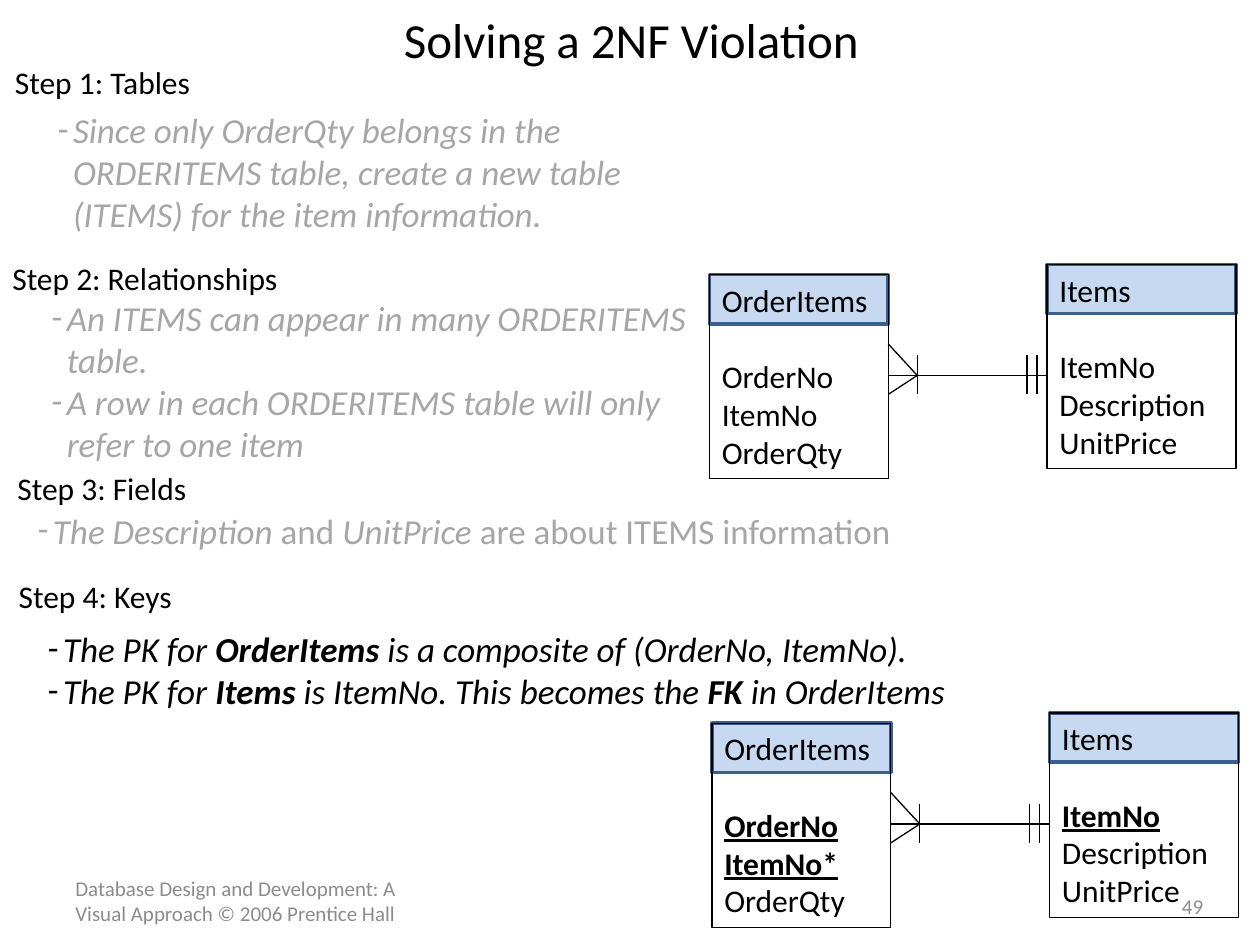
from pptx import Presentation
from pptx.dml.color import RGBColor
from pptx.enum.shapes import MSO_CONNECTOR, MSO_SHAPE
from pptx.enum.text import MSO_ANCHOR, MSO_AUTO_SIZE, PP_ALIGN
from pptx.oxml.ns import qn
from pptx.util import Emu, Inches, Pt
from lxml import etree

STRAIGHT = MSO_CONNECTOR.STRAIGHT
RECTANGLE = MSO_SHAPE.RECTANGLE
TOP, MIDDLE = MSO_ANCHOR.TOP, MSO_ANCHOR.MIDDLE
LEFT, CENTER = PP_ALIGN.LEFT, PP_ALIGN.CENTER
NO_AUTOFIT = MSO_AUTO_SIZE.NONE

THEME = {
    "font": "Calibri",
    "ink": RGBColor.from_string("000000"),
    "faded": RGBColor.from_string("A6A6A6"),
    "footer": RGBColor.from_string("8C8C8C"),
    "header fill": RGBColor.from_string("C6D9F1"),
    "header line": RGBColor.from_string("3A5F8C"),
    "title size": Pt(28),
    "list size": Pt(20),
    "label size": Pt(18),
    "footer size": Pt(12),
}

presentation = Presentation()
presentation.slide_width = Inches(10)
presentation.slide_height = Inches(7.5)
UNIT = presentation.slide_width / 100  # the grid has 100 columns and 75 rows


def grid(*cells):
    return [Emu(round(cell * UNIT)) for cell in cells]


def style(paragraph, size, color, alignment=LEFT):
    paragraph.alignment = alignment
    paragraph.font.name = THEME["font"]
    paragraph.font.size = THEME[size]
    paragraph.font.color.rgb = THEME[color]


# The comparison layout offers a title and four bodies, one for each step
slide = presentation.slides.add_slide(presentation.slide_layouts[4])

# Title
title = slide.shapes.title
title.left, title.top, title.width, title.height = grid(5.1, 0.2, 90, 5.8)
title.text_frame.text = "Solving a 2NF Violation"
title.text_frame.vertical_anchor = MIDDLE
style(title.text_frame.paragraphs[0], "title size", "ink", CENTER)

# Step lists: box, colour, and paragraphs made of (text, bold, italic) runs
step_lists = [
    ((3.6, 8.1, 47.2, 11.1), "faded", [
        [("Since only OrderQty belongs in the ORDERITEMS table, create a new "
          "table (ITEMS) for the item information.", False, True)]]),
    ((3.1, 23, 53.2, 14.5), "faded", [
        [("An ITEMS can appear in many ORDERITEMS table.", False, True)],
        [("A row in each ORDERITEMS table will only refer to one item",
          False, True)]]),
    ((2, 39.9, 72.3, 4.4), "faded", [
        [("The Description", False, True), (" and ", False, False),
         ("UnitPrice", False, True),
         (" are about ITEMS information", False, False)]]),
    ((2.8, 49.3, 78, 7.7), "ink", [
        [("The PK for ", False, True), ("OrderItems", True, True),
         (" is a composite of (OrderNo, ItemNo).", False, True)],
        [("The PK for ", False, True), ("Items", True, True),
         (" is ItemNo. This becomes the ", False, True), ("FK", True, True),
         (" in OrderItems", False, True)]]),
]
for index, (box, color, items) in enumerate(step_lists, start=1):
    body = slide.placeholders[index]
    body.left, body.top, body.width, body.height = grid(*box)
    frame = body.text_frame
    frame.auto_size = NO_AUTOFIT
    frame.vertical_anchor = TOP
    for number, runs in enumerate(items):
        paragraph = frame.add_paragraph() if number else frame.paragraphs[0]
        paragraph.space_before = Pt(0)
        properties = paragraph._p.get_or_add_pPr()
        properties.set("marL", str(Inches(0.12)))
        properties.set("indent", str(-Inches(0.12)))
        etree.SubElement(properties, qn("a:buFont"), typeface=THEME["font"])
        etree.SubElement(properties, qn("a:buChar"), char="-")
        style(paragraph, "list size", color)
        for text, bold, italic in runs:
            run = paragraph.add_run()
            run.text = text
            run.font.bold = bold
            run.font.italic = italic

# Step headings, footer and slide number
labels = [
    ((0.2, 4.5, 18.1, 4), "Step 1: Tables", "label size", "ink", TOP, LEFT),
    ((0, 20.1, 25.6, 4), "Step 2: Relationships", "label size", "ink", TOP, LEFT),
    ((0.4, 36.7, 17.3, 4), "Step 3: Fields", "label size", "ink", TOP, LEFT),
    ((0.5, 45.3, 16.2, 4), "Step 4: Keys", "label size", "ink", TOP, LEFT),
    ((5, 69.5, 29.4, 4),
     "Database Design and Development: A Visual Approach © 2006 Prentice Hall",
     "footer size", "footer", MIDDLE, LEFT),
    ((91.7, 70.3, 5.9, 3.2), "49", "footer size", "footer", MIDDLE, CENTER),
]
for box, text, size, color, anchor, alignment in labels:
    frame = slide.shapes.add_textbox(*grid(*box)).text_frame
    frame.word_wrap = True
    frame.vertical_anchor = anchor
    frame.text = text
    style(frame.paragraphs[0], size, color, alignment)

# Entity diagrams: the same drawing without and with its keys
order_fields = ["OrderItems", "OrderNo", "ItemNo", "OrderQty"]
keyed_order_fields = ["OrderItems", "OrderNo", "ItemNo*", "OrderQty"]
item_fields = ["Items", "ItemNo", "Description", "UnitPrice"]
diagrams = [
    (56.3, 21.8, order_fields, []),
    (56.5, 57.4, keyed_order_fields, ["OrderNo", "ItemNo*", "ItemNo"]),
]
# Relationship lines, measured from the corner of the left entity
many_edge, many_bar, one_edge = 14.2, 16.5, 26.8
middle, bar_top, bar_bottom = 8, 6.4, 9.5
relationship = [
    (one_edge, middle, many_edge, middle),
    (many_bar, middle, many_edge, bar_bottom),
    (many_bar, middle, many_edge, 5.5),
]
relationship += [(bar, bar_bottom, bar, bar_top) for bar in (25.2, 26, many_bar)]

for left, top, orders, keys in diagrams:
    group = slide.shapes.add_group_shape()
    entities = [(left, top, many_edge, orders),
                (left + one_edge, top - 0.8, 15, item_fields)]
    for entity_left, entity_top, width, fields in entities:
        header = group.shapes.add_shape(
            RECTANGLE, *grid(entity_left, entity_top, width, 3.9))
        header.shadow.inherit = False
        header.fill.solid()
        header.fill.fore_color.rgb = THEME["header fill"]
        header.line.color.rgb = THEME["header line"]
        header.line.width = Pt(2)

        entity = group.shapes.add_shape(
            RECTANGLE, *grid(entity_left, entity_top, width, 16.2))
        entity.shadow.inherit = False
        entity.fill.background()
        entity.line.color.rgb = THEME["ink"]
        entity.line.width = Pt(0.75)
        frame = entity.text_frame
        frame.vertical_anchor = TOP
        frame.text = "\n".join(fields)
        for number, paragraph in enumerate(frame.paragraphs):
            style(paragraph, "label size", "ink")
            if number == 1:
                paragraph.space_before = Pt(22)
            if fields[number] in keys:
                paragraph.font.bold = True
                paragraph.font.underline = True

    for start_x, start_y, end_x, end_y in relationship:
        line = group.shapes.add_connector(STRAIGHT, *grid(
            left + start_x, top + start_y, left + end_x, top + end_y))
        line.line.color.rgb = THEME["ink"]
        line.line.width = Pt(0.75)
        etree.SubElement(line._element.spPr, qn("a:effectLst"))

presentation.save("out.pptx")
